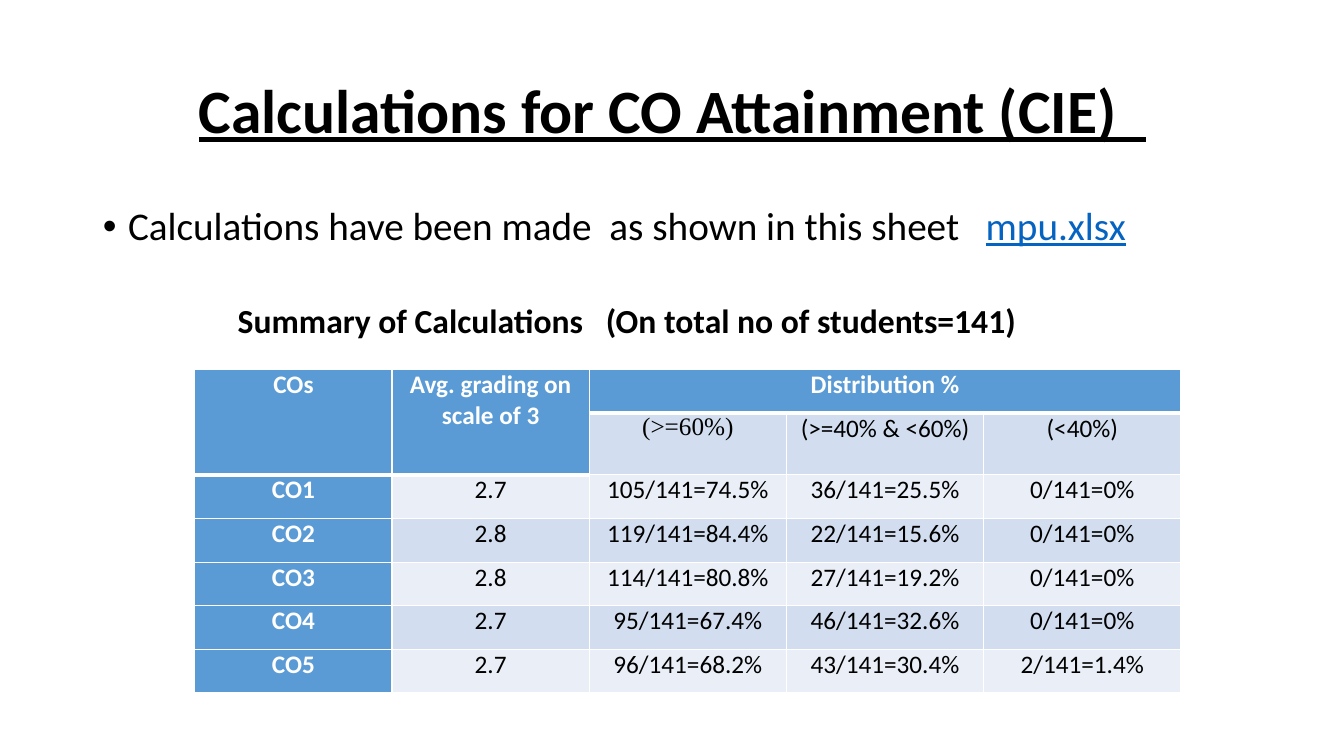
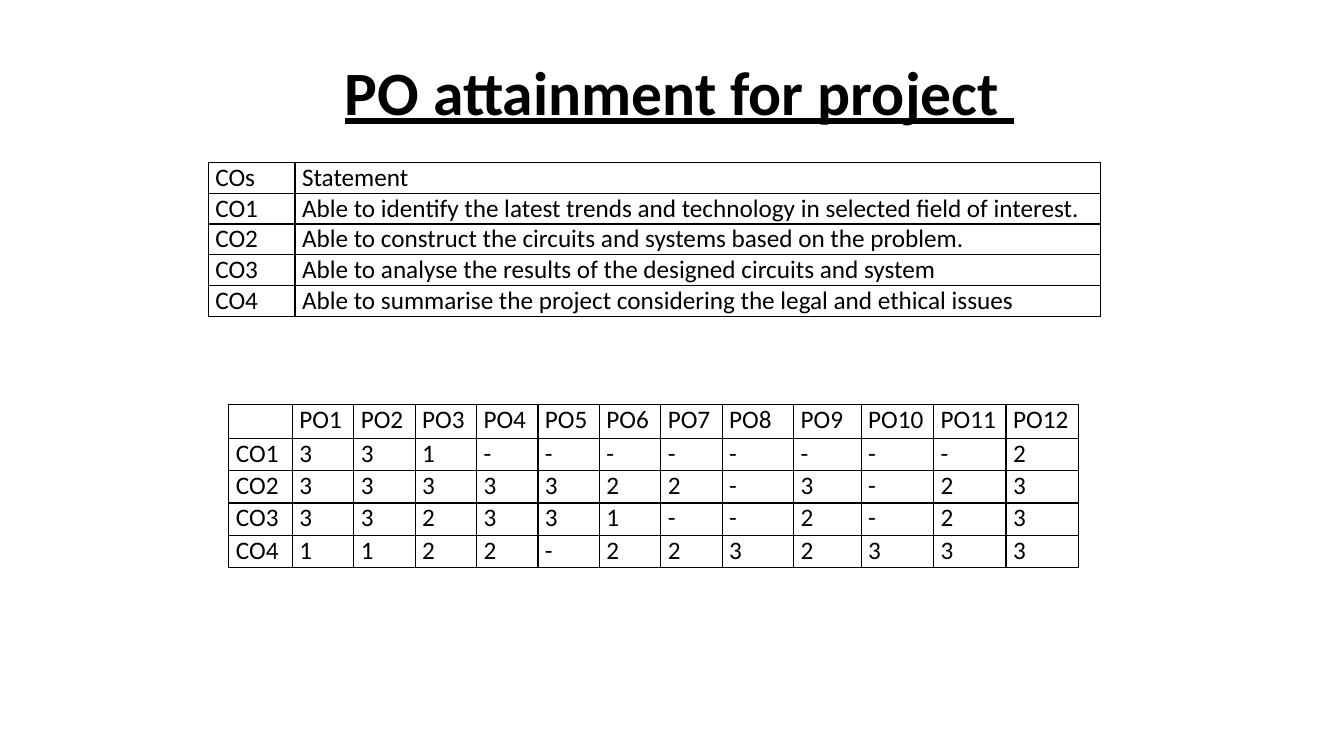
from lxml import etree
from pptx import Presentation
from pptx import util as u
from pptx.dml.color import RGBColor
from pptx.enum import text as t
from pptx.oxml import ns

WIDE, HIGH = 13.33, 7.5
FONT, SERIF = "Calibri", "Times New Roman"
INK = {"text": "000000", "paper": "FFFFFF", "head": "5B9BD5",
       "dark": "D2DEEF", "pale": "EAEFF7", "link": "0563C1"}

GRADES = [
    ["COs", "Avg. grading on scale of 3", "Distribution %", "", ""],
    ["", "", "(>=60%)", "(>=40% & <60%)", "(<40%)"],
    ["CO1", "2.7", "105/141=74.5%", "36/141=25.5%", "0/141=0%"],
    ["CO2", "2.8", "119/141=84.4%", "22/141=15.6%", "0/141=0%"],
    ["CO3", "2.8", "114/141=80.8%", "27/141=19.2%", "0/141=0%"],
    ["CO4", "2.7", "95/141=67.4%", "46/141=32.6%", "0/141=0%"],
    ["CO5", "2.7", "96/141=68.2%", "43/141=30.4%", "2/141=1.4%"],
]
GOALS = [
    ["COs", "Statement"],
    ["CO1", "Able to identify the latest trends and technology in selected field of interest."],
    ["CO2", "Able to construct the circuits and systems based on the problem."],
    ["CO3", "Able to analyse the results of the designed circuits and system"],
    ["CO4", "Able to summarise the project considering the legal and ethical issues"],
]
LEVELS = [
    [""] + [f"PO{n}" for n in range(1, 13)],
    ["CO1", *"331--------2"],
    ["CO2", *"3333322-3-23"],
    ["CO3", *"332331--2-23"],
    ["CO4", *"1122-2232333"],
]


def area(x, y, w, h):
    """Turn percentages of the slide into a box of lengths."""
    return [u.Inches(part * side / 100)
            for part, side in zip((x, y, w, h), (WIDE, HIGH) * 2)]


def style(run, size, color="text", bold=False, line=False, font=FONT):
    """Format one run."""
    face = run.font
    face.name, face.size, face.bold, face.underline = font, u.Pt(size), bold, line
    face.color.rgb = RGBColor.from_string(INK[color])


def place(shape, box):
    """Move a shape into a box and fix its size."""
    shape.left, shape.top, shape.width, shape.height = box
    shape.text_frame.word_wrap = True
    shape.text_frame.auto_size = t.MSO_AUTO_SIZE.NONE


def title(slide, words, box, lead=""):
    """Write the underlined, centred title."""
    shape = slide.shapes.title
    place(shape, box)
    shape.text_frame.vertical_anchor = t.MSO_ANCHOR.MIDDLE
    para = shape.text_frame.paragraphs[0]
    para.alignment, para.line_spacing = t.PP_ALIGN.CENTER, 0.9
    for part, bold in ((lead, False), (words, True)):
        if part:
            run = para.add_run()
            run.text = part
            style(run, 44, bold=bold, line=bold)


def point(slide, words, link, box):
    """Write the bulleted line that ends in a file name."""
    shape = slide.placeholders[1]
    place(shape, box)
    para = shape.text_frame.paragraphs[0]
    para.line_spacing, para.space_before = 0.9, u.Pt(10)
    props = para._p.get_or_add_pPr()
    props.set("marL", str(u.Inches(0.25)))
    props.set("indent", str(u.Inches(-0.25)))
    etree.SubElement(props, ns.qn("a:buFont")).set("typeface", "Arial")
    etree.SubElement(props, ns.qn("a:buChar")).set("char", "•")
    for part, color in ((words, "text"), (link, "link")):
        run = para.add_run()
        run.text = part
        style(run, 28, color, line=color == "link")


def label(slide, words, box):
    """Write the bold heading above a table."""
    shape = slide.shapes.add_textbox(*box)
    place(shape, box)
    shape.text_frame.text = words
    style(shape.text_frame.paragraphs[0].runs[0], 24, bold=True)


def edge(cell, color, widths):
    """Draw the left, right, top and bottom borders of a cell."""
    props = cell._tc.get_or_add_tcPr()
    for side, width in zip("LRTB", widths):
        line = etree.SubElement(props, ns.qn(f"a:ln{side}"), w=str(u.Pt(width)))
        fill = etree.SubElement(line, ns.qn("a:solidFill"))
        etree.SubElement(fill, ns.qn("a:srgbClr"), val=INK[color])


def plain(row, col):
    """Give the look of a cell in an outlined table."""
    return "paper", {}


def band(row, col):
    """Give the look of a cell in the banded table."""
    if col == 0 or row == 0 or (row == 1 and col == 1):
        return "head", {"color": "paper", "bold": True}
    font = SERIF if (row, col) == (1, 2) else FONT
    return ("dark" if row % 2 else "pale"), {"font": font}


def grid(slide, data, box, cols, rows, look=plain, line="text",
         align=t.PP_ALIGN.LEFT, thick=()):
    """Build a table whose columns and rows share the box by weight."""
    table = slide.shapes.add_table(len(rows), len(cols), *box).table
    table.first_row = table.horz_banding = False
    for col, part in zip(table.columns, cols):
        col.width = int(box[2] * part / sum(cols))
    for row, part in zip(table.rows, rows):
        row.height = int(box[3] * part / sum(rows))
    for r, texts in enumerate(data):
        for c, words in enumerate(texts):
            cell = table.cell(r, c)
            cell.margin_left = cell.margin_right = u.Inches(0.07)
            cell.margin_top = cell.margin_bottom = 0
            tone, face = look(r, c)
            edge(cell, line, (1, 1, 3 if (r - 1, c) in thick else 1,
                              3 if (r, c) in thick else 1))
            cell.fill.solid()
            cell.fill.fore_color.rgb = RGBColor.from_string(INK[tone])
            cell.text_frame.text = words
            para = cell.text_frame.paragraphs[0]
            para.alignment = align
            for run in para.runs:
                style(run, 18, **face)
    return table


def grades(deck):
    """Build the slide with the grading summary."""
    slide = deck.slides.add_slide(deck.slide_layouts[1])
    title(slide, "Calculations for CO Attainment (CIE)  ",
          area(6.9, 5.33, 86.25, 19.33))
    point(slide, "Calculations have been made  as shown in this sheet   ",
          "mpu.xlsx", area(6.9, 26.67, 86.25, 10.4))
    thick = {(0, c) for c in range(5)} | {(1, 0), (1, 1)}
    table = grid(slide, GRADES, area(14.5, 48.93, 73.37, 42.67), [1] * 5,
                 [0.43, 0.61, 0.43, 0.44, 0.43, 0.43, 0.43], band, "paper",
                 t.PP_ALIGN.CENTER, thick)
    for first, last in (((0, 0), (1, 0)), ((0, 1), (1, 1)), ((0, 2), (0, 4))):
        table.cell(*first).merge(table.cell(*last))
    label(slide, "Summary of Calculations   (On total no of students=141)",
          area(16.95, 39.07, 66.17, 6.67))


def levels(deck):
    """Build the slide with the statements and the mapping."""
    slide = deck.slides.add_slide(deck.slide_layouts[5])
    title(slide, "PO attainment for project ",
          area(6.9, 5.33, 86.25, 14.53), " ")
    grid(slide, GOALS, area(15.5, 21.47, 66.39, 20.4), [0.86, 7.99], [1] * 5)
    grid(slide, LEVELS, area(17.03, 53.47, 63.24, 21.6),
         [0.63] + [0.61] * 7 + [0.71, 0.67] + [0.72] * 3, [0.34] + [0.32] * 4)


def main():
    """Build and save the deck."""
    deck = Presentation()
    deck.slide_width, deck.slide_height = u.Inches(WIDE), u.Inches(HIGH)
    grades(deck)
    levels(deck)
    deck.save("out.pptx")


if __name__ == "__main__":
    main()
